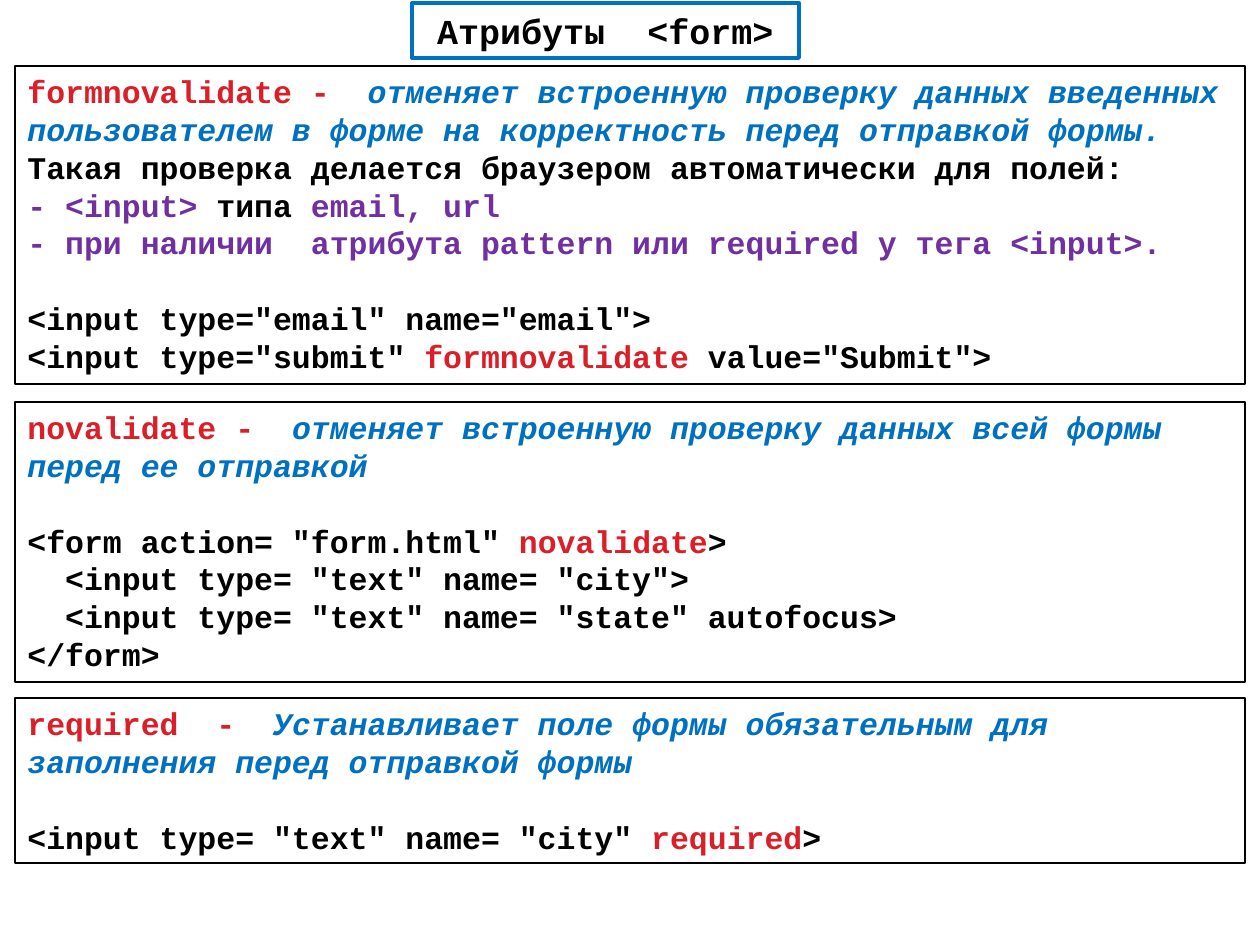
from pptx import Presentation
from pptx.dml.color import RGBColor
from pptx.enum.shapes import MSO_SHAPE
from pptx.enum.text import MSO_ANCHOR, MSO_AUTO_SIZE, PP_ALIGN
from pptx.util import Pt

RECTANGLE = MSO_SHAPE.RECTANGLE
TOP, MIDDLE = MSO_ANCHOR.TOP, MSO_ANCHOR.MIDDLE
LEFT, CENTER = PP_ALIGN.LEFT, PP_ALIGN.CENTER
NO_AUTOSIZE = MSO_AUTO_SIZE.NONE

PX = 914400 / 126
FONT = "Courier New"
LINE_GAP = 21.6
COLORS = {
    "black": "000000",
    "red": "DA1F28",
    "blue": "0070C0",
    "purple": "7030A0",
}


def px(length):
    return round(length * PX)


def add_text(paragraph, text, color="black", size=18, italic=False):
    run = paragraph.add_run()
    run.text = text
    font = run.font
    font.name = FONT
    font.size = Pt(size)
    font.bold = True
    font.italic = italic
    font.color.rgb = RGBColor.from_string(COLORS[color])


prs = Presentation()
prs.slide_width, prs.slide_height = px(1260), px(945)
slide = prs.slides.add_slide(prs.slide_layouts[5])

heading = slide.shapes.title
heading.left, heading.top = px(412), px(3)
heading.width, heading.height = px(387), px(55)
heading.line.color.rgb = RGBColor.from_string(COLORS["blue"])
heading.line.width = Pt(2.25)
heading.text_frame.auto_size = NO_AUTOSIZE
heading.text_frame.vertical_anchor = MIDDLE
heading.text_frame.paragraphs[0].alignment = CENTER
add_text(heading.text_frame.paragraphs[0], "Атрибуты  <form>", size=20)

attributes = [
    (66, 318, [
        [("formnovalidate -  ", "red"),
         ("oтменяет встроенную проверку данных введенных пользователем "
          "в форме на корректность перед отправкой формы. ", "blue"),
         ("Такая проверка делается браузером автоматически для полей: ", "black")],
        [("- <input> ", "purple"), ("типа ", "black"), ("email, url", "purple")],
        [("- при наличии  атрибута pattern или required у тега <input>.", "purple")],
    ], [
        [('<input type="email" name="email">', "black")],
        [('<input type="submit" ', "black"), ("formnovalidate ", "red"),
         ('value="Submit">', "black")],
    ]),
    (402, 280, [
        [("novalidate -  ", "red"),
         ("oтменяет встроенную проверку данных всей формы перед ее отправкой", "blue")],
    ], [
        [('<form action= "form.html" ', "black"), ("novalidate", "red"), (">", "black")],
        [('  <input type= "text" name= "city">', "black")],
        [('  <input type= "text" name= "state" autofocus>', "black")],
        [("</form>", "black")],
    ]),
    (698, 165, [
        [("required  -  ", "red"),
         ("Устанавливает поле формы обязательным для заполнения "
          "перед отправкой формы", "blue")],
    ], [
        [('<input type= "text" name= "city" ', "black"), ("required", "red"),
         (">", "black")],
    ]),
]

for top, height, description, code in attributes:
    panel = slide.shapes.add_shape(RECTANGLE, px(15), px(top), px(1230), px(height))
    panel.shadow.inherit = False
    panel.fill.background()
    panel.line.color.rgb = RGBColor.from_string(COLORS["black"])
    panel.line.width = Pt(1.5)
    frame = panel.text_frame
    frame.word_wrap = True
    frame.vertical_anchor = TOP
    for index, parts in enumerate(description + code):
        paragraph = frame.add_paragraph() if index else frame.paragraphs[0]
        paragraph.alignment = LEFT
        if index == len(description):
            paragraph.space_before = Pt(LINE_GAP)
        for text, color in parts:
            add_text(paragraph, text, color=color, italic=color == "blue")

prs.save("out.pptx")
